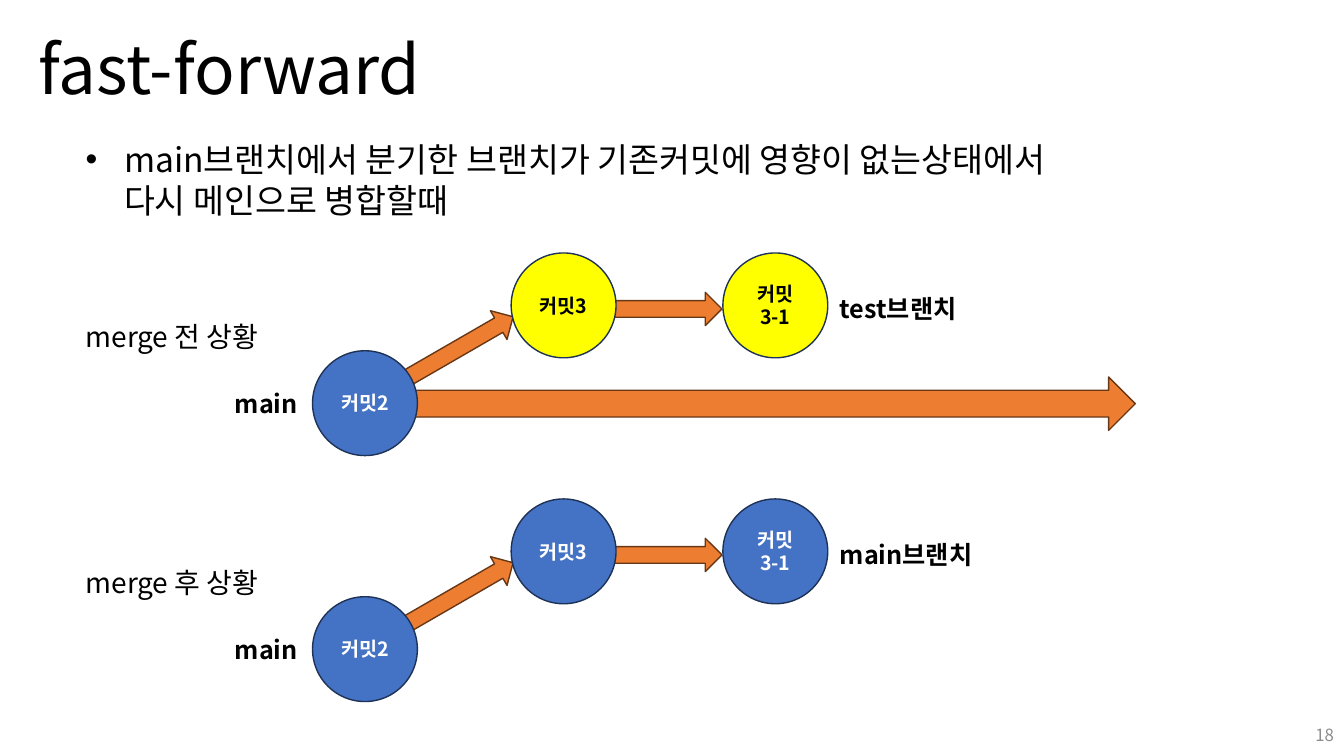
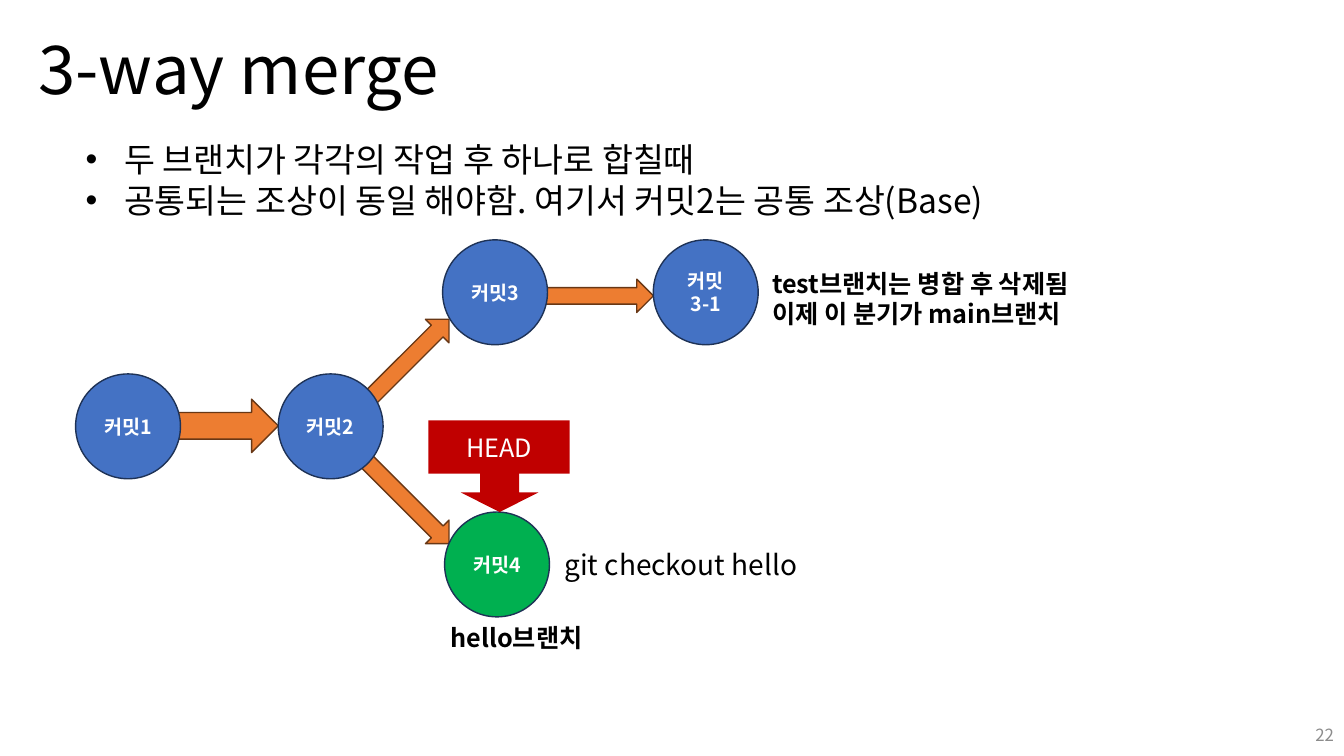
from pptx import Presentation
from pptx.dml.color import RGBColor
from pptx.enum.shapes import MSO_SHAPE
from pptx.enum.text import MSO_ANCHOR, MSO_AUTO_SIZE, PP_ALIGN
from pptx.oxml.ns import qn
from pptx.util import Inches, Pt

OVAL, RECT = MSO_SHAPE.OVAL, MSO_SHAPE.RECTANGLE
RIGHT, DOWN = MSO_SHAPE.RIGHT_ARROW, MSO_SHAPE.DOWN_ARROW
MID, TOP = MSO_ANCHOR.MIDDLE, MSO_ANCHOR.TOP
GROW, FIXED = MSO_AUTO_SIZE.SHAPE_TO_FIT_TEXT, MSO_AUTO_SIZE.NONE
LEFT, MIDDLE, END = PP_ALIGN.LEFT, PP_ALIGN.CENTER, PP_ALIGN.RIGHT

FACE = "Noto Sans CJK KR"
HUES = {
    "ink": "000000", "paper": "FFFFFF", "gray": "8C8C8C",
    "blue": "4472C4", "navy": "1E3256", "yellow": "FFFF00",
    "green": "00B050", "orange": "ED7D31", "brown": "683715",
    "red": "C00000",
}
SIZE = 1.04
SLIM = 0.33

TITLE = {"font": {"size": Pt(48), "bold": False}, "para": {"alignment": LEFT, "line_spacing": 0.9},
         "frame": {"vertical_anchor": MID, "auto_size": FIXED}}
BODY = {"font": {"size": Pt(24)}, "para": {"alignment": LEFT, "space_before": Pt(0)},
        "frame": {"vertical_anchor": TOP, "word_wrap": False, "auto_size": GROW}}
NOTE = {"font": {"size": Pt(20)}, "para": {"alignment": LEFT},
        "frame": {"word_wrap": False, "auto_size": GROW}}
TAG = {**NOTE, "font": {"size": Pt(18), "bold": True}}
NODE = {"font": {"size": Pt(14), "bold": True}, "para": {"alignment": MIDDLE},
        "frame": {"vertical_anchor": MID, "word_wrap": True}}
SIGN = {**NODE, "font": {"size": Pt(18)}}
PAGE = {"font": {"size": Pt(12)}, "para": {"alignment": END},
        "frame": {"vertical_anchor": MID, "word_wrap": True}}


def color(name):
    return RGBColor.from_string(HUES[name])


def apply(item, values):
    for name, value in values.items():
        setattr(item, name, value)


def place(shape, box):
    apply(shape, dict(zip(("left", "top", "width", "height"), map(Inches, box))))


def write(shape, lines, look, hue="ink"):
    frame = shape.text_frame
    apply(frame, look["frame"])
    for i, line in enumerate(lines):
        para = frame.add_paragraph() if i else frame.paragraphs[0]
        para.text = line
        apply(para, look["para"])
        for run in para.runs:
            apply(run.font, {"name": FACE, **look["font"]})
            run.font.color.rgb = color(hue)
            east = run.font._element.makeelement(qn("a:ea"), {"typeface": FACE})
            run.font._element.append(east)


def label(slide, box, lines, look, hue="ink"):
    write(slide.shapes.add_textbox(*map(Inches, box)), lines, look, hue)


def draw(slide, kind, box, fill, edge=None, turn=0):
    shape = slide.shapes.add_shape(kind, *map(Inches, box))
    shape.shadow.inherit = False
    shape.rotation = turn
    shape.fill.solid()
    shape.fill.fore_color.rgb = color(fill)
    if edge:
        shape.line.color.rgb = color(edge)
        shape.line.width = Pt(1)
    else:
        shape.line.fill.background()
    return shape


def arrow(slide, kind, box, turn=0):
    draw(slide, kind, box, "orange", "brown", turn)


def commit(slide, x, y, name, fill="blue"):
    node = draw(slide, OVAL, (x, y, SIZE, SIZE), fill, "navy")
    write(node, ["커밋" + name], NODE, "ink" if fill == "yellow" else "paper")


def pair(slide, x, y, step, fill="blue"):
    arrow(slide, DOWN, (x + 1.38, y + 0.01, SLIM, 1.09), 270)
    commit(slide, x, y, "3", fill)
    commit(slide, x + step, y, "3-1", fill)


def fork(slide, x, y, note, branch, wide, fill="blue", ahead=False):
    label(slide, (x, y + 0.61, 2.17, 0.44), [note], NOTE)
    arrow(slide, DOWN, (x + 3.65, y + 0.33, SLIM, 1.21), 240)
    if ahead:
        arrow(slide, RIGHT, (x + 2.52, y + 1.23, 7.99, 0.53))
    commit(slide, x + 2.35, y + 0.97, "2")
    label(slide, (x + 1.48, y + 1.29, 0.88, 0.4), ["main"], TAG)
    pair(slide, x + 4.32, y, 2.1, fill)
    label(slide, (x + 7.48, y + 0.35, wide, 0.4), [branch], TAG)


def head(slide, x, y):
    draw(slide, MSO_SHAPE.UP_ARROW, (x + 0.32, y + 0.52, 0.77, 0.39), "red", turn=180)
    sign = draw(slide, RECT, (x, y, 1.4, 0.53), "red")
    write(sign, ["HEAD"], SIGN, "paper")


def tree(slide, x, y):
    for top, turn in ((y + 1.98, 315), (y + 0.61, 225)):
        arrow(slide, DOWN, (x + 3.11, top, SLIM, 1.21), turn)
    arrow(slide, RIGHT, (x + 0.09, y + 1.58, 1.92, 0.53))
    commit(slide, x, y + 1.33, "1")
    commit(slide, x + 2.01, y + 1.33, "2")
    pair(slide, x + 3.64, y, 2.09)
    label(slide, (x + 6.81, y + 0.23, 3.38, 0.71),
          ["test브랜치는 병합 후 삭제됨", "이제 이 분기가 main브랜치"], TAG)
    commit(slide, x + 3.66, y + 2.7, "4", "green")
    label(slide, (x + 3.62, y + 3.74, 1.58, 0.4), ["hello브랜치"], TAG)
    head(slide, x + 3.5, y + 1.79)
    label(slide, (x + 4.75, y + 3, 2.88, 0.44), ["git checkout hello"], NOTE)


def start(deck, title, points, wide, page):
    slide = deck.slides.add_slide(deck.slide_layouts[1])
    place(slide.shapes.title, (0.28, 0, 11.5, 1.45))
    write(slide.shapes.title, [title], TITLE)
    body = slide.placeholders[1]
    place(body, (0.75, 1.33, wide, 0.91))
    write(body, points, BODY)
    for para in body.text_frame.paragraphs:
        props = para._p.get_or_add_pPr()
        props.set("marL", str(Inches(0.38)))
        props.set("indent", str(-Inches(0.38)))
        props.append(props.makeelement(qn("a:buFont"), {"typeface": "Arial"}))
        props.append(props.makeelement(qn("a:buChar"), {"char": "•"}))
    label(slide, (10.33, 7.09, 3, 0.4), [page], PAGE, "gray")
    return slide


def main():
    deck = Presentation()
    deck.slide_width, deck.slide_height = Inches(13.33), Inches(7.5)

    slide = start(deck, "fast-forward",
                  ["main브랜치에서 분기한 브랜치가 기존커밋에 영향이 없는상태에서\v다시 메인으로 병합할때"],
                  10.39, "18")
    fork(slide, 0.75, 2.51, "merge 전 상황", "test브랜치", 1.47, "yellow", True)
    fork(slide, 0.75, 4.95, "merge 후 상황", "main브랜치", 1.61)

    slide = start(deck, "3-way merge",
                  ["두 브랜치가 각각의 작업 후 하나로 합칠때",
                   "공통되는 조상이 동일 해야함. 여기서 커밋2는 공통 조상(Base)"],
                  9.86, "22")
    tree(slide, 0.75, 2.38)

    deck.save("out.pptx")


if __name__ == "__main__":
    main()
